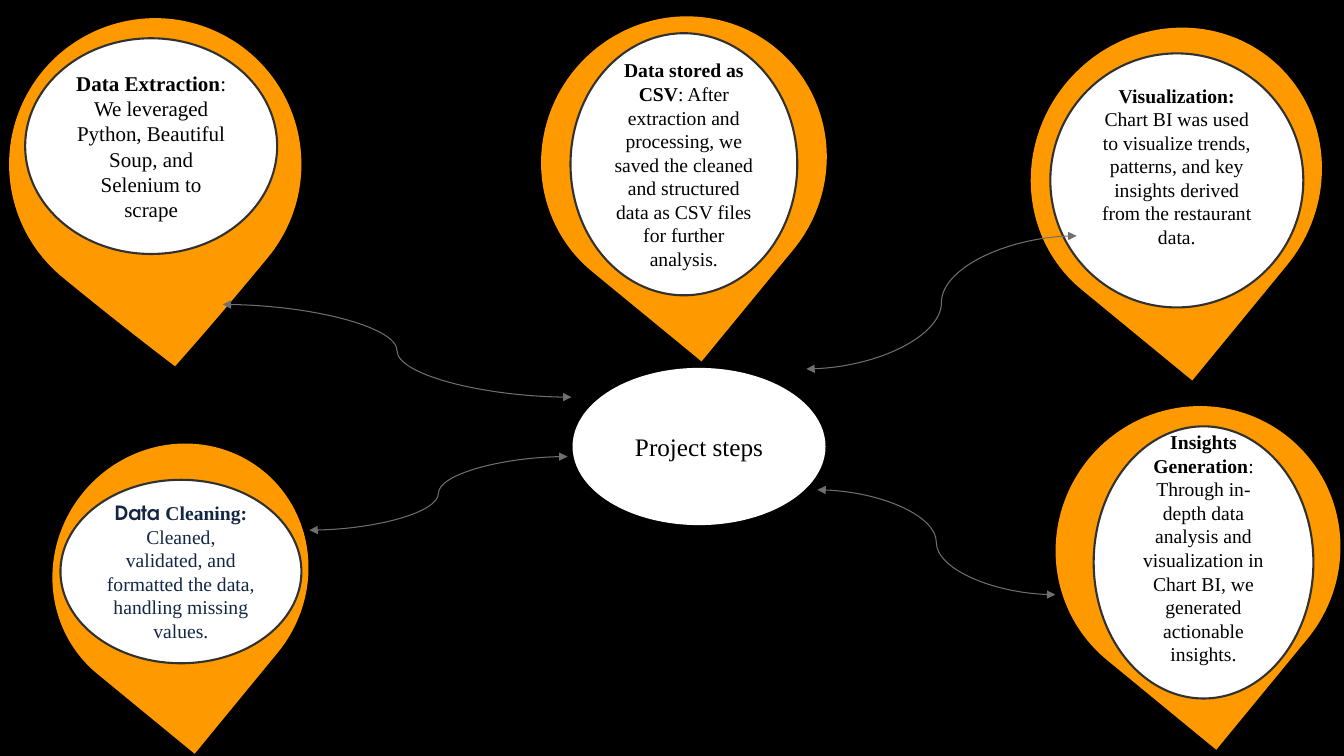
from pptx import Presentation
from pptx.dml.color import RGBColor
from pptx.enum.shapes import MSO_CONNECTOR, MSO_SHAPE
from pptx.enum.text import MSO_ANCHOR, PP_ALIGN
from pptx.oxml.ns import qn
from pptx.util import Pt
from lxml import etree

TEARDROP, ELLIPSE = MSO_SHAPE.TEAR, MSO_SHAPE.OVAL
CURVE = MSO_CONNECTOR.CURVE
MIDDLE, CENTER = MSO_ANCHOR.MIDDLE, PP_ALIGN.CENTER

BLACK = RGBColor(0x00, 0x00, 0x00)
WHITE = RGBColor(0xFF, 0xFF, 0xFF)
ORANGE = RGBColor(0xFF, 0x99, 0x00)
NAVY = RGBColor(0x13, 0x27, 0x45)
OUTLINE = RGBColor(0x31, 0x31, 0x31)
GREY = RGBColor(0x6F, 0x6F, 0x6F)
SERIF, SANS = "Times New Roman", "TeX Gyre Adventor"
PIN_ANGLE = 129.4
BOTTOM_INSET = 3.6

HUB = ("Project steps", (408.96, 262.8, 180.72, 112.32), 18)

STEPS = [
    {"pin": (6.48, 12.96, 208.8, 208.8), "point": 0.982,
     "bubble": (18, 27.36, 180, 154.08), "size": 15, "color": BLACK, "lift": 0,
     "text": [[("Data Extraction", True, SERIF),
               (": We leveraged Python, Beautiful Soup, and Selenium to scrape", False, SERIF)]]},
    {"pin": (35.28, 318.96, 187.2, 180), "point": 1,
     "bubble": (43.2, 342.72, 172.08, 131.04), "size": 14, "color": NAVY, "lift": 0,
     "text": [[("Data ", True, SANS), ("Cleaning:", True, SERIF)],
              [("Cleaned, validated, and formatted the data, handling missing values.",
                False, SERIF)]]},
    {"pin": (385.2, 12.96, 206.64, 202.32), "point": 1,
     "bubble": (407.52, 23.76, 162, 187.2), "size": 14, "color": BLACK, "lift": 0,
     "text": [[("Data stored as CSV", True, SERIF),
               (": After extraction and processing, we saved the cleaned and structured "
                "data as CSV files for further analysis.", False, SERIF)]]},
    {"pin": (733.68, 22.32, 213.12, 204.48), "point": 1,
     "bubble": (750.24, 38.16, 180.72, 181.44), "size": 14, "color": BLACK, "lift": 20.7,
     "text": [[("Visualization: ", True, SERIF),
               ("Chart BI was used to visualize trends, patterns, and key insights "
                "derived from the restaurant data.", False, SERIF)]]},
    {"pin": (753.12, 290.88, 205.2, 202.32), "point": 1,
     "bubble": (781.2, 304.56, 156.96, 194.4), "size": 14, "color": BLACK, "lift": 20.7,
     "text": [[("Insights Generation", True, SERIF),
               (": Through in-depth data analysis and visualization in Chart BI, "
                "we generated actionable insights.", False, SERIF)]]},
]

ARROWS = [
    (159.12, 217.44, 408.24, 283.68),
    (221.04, 378.72, 405.36, 326.16),
    (583.92, 349.92, 753.84, 424.8),
    (576, 263.52, 768.96, 168.48),
]


def add_filled(slide, kind, box, fill):
    shape = slide.shapes.add_shape(kind, *map(Pt, box))
    shape.shadow.inherit = False
    shape.fill.solid()
    shape.fill.fore_color.rgb = fill
    shape.line.fill.background()
    return shape


def write_text(shape, paragraphs, size, color, lift=0):
    frame = shape.text_frame
    frame.word_wrap = True
    frame.vertical_anchor = MIDDLE
    frame.margin_bottom = Pt(BOTTOM_INSET + lift)
    for index, parts in enumerate(paragraphs):
        paragraph = frame.add_paragraph() if index else frame.paragraphs[0]
        paragraph.alignment = CENTER
        for words, bold, font in parts:
            run = paragraph.add_run()
            run.text = words
            run.font.name = font
            run.font.size = Pt(size)
            run.font.bold = bold
            run.font.color.rgb = color


def add_step(slide, step):
    pin = add_filled(slide, TEARDROP, step["pin"], ORANGE)
    pin.adjustments[0] = step["point"]
    pin.rotation = PIN_ANGLE
    bubble = add_filled(slide, ELLIPSE, step["bubble"], WHITE)
    bubble.line.color.rgb = OUTLINE
    bubble.line.width = Pt(1.5)
    write_text(bubble, step["text"], step["size"], step["color"], step["lift"])


def add_arrow(slide, ends):
    arrow = slide.shapes.add_connector(CURVE, *map(Pt, ends))
    arrow.line.color.rgb = GREY
    arrow.line.width = Pt(0.75)
    outline = arrow.line._get_or_add_ln()
    for end in ("a:headEnd", "a:tailEnd"):
        etree.SubElement(outline, qn(end), type="triangle")
    etree.SubElement(arrow._element.spPr, qn("a:effectLst"))


def main():
    deck = Presentation()
    deck.slide_width, deck.slide_height = Pt(960), Pt(540)
    slide = deck.slides.add_slide(deck.slide_layouts[6])
    slide.background.fill.solid()
    slide.background.fill.fore_color.rgb = BLACK

    for step in STEPS:
        add_step(slide, step)
    title, box, size = HUB
    hub = add_filled(slide, ELLIPSE, box, WHITE)
    write_text(hub, [[(title, False, SERIF)]], size, BLACK)
    for ends in ARROWS:
        add_arrow(slide, ends)

    deck.save("out.pptx")


if __name__ == "__main__":
    main()
